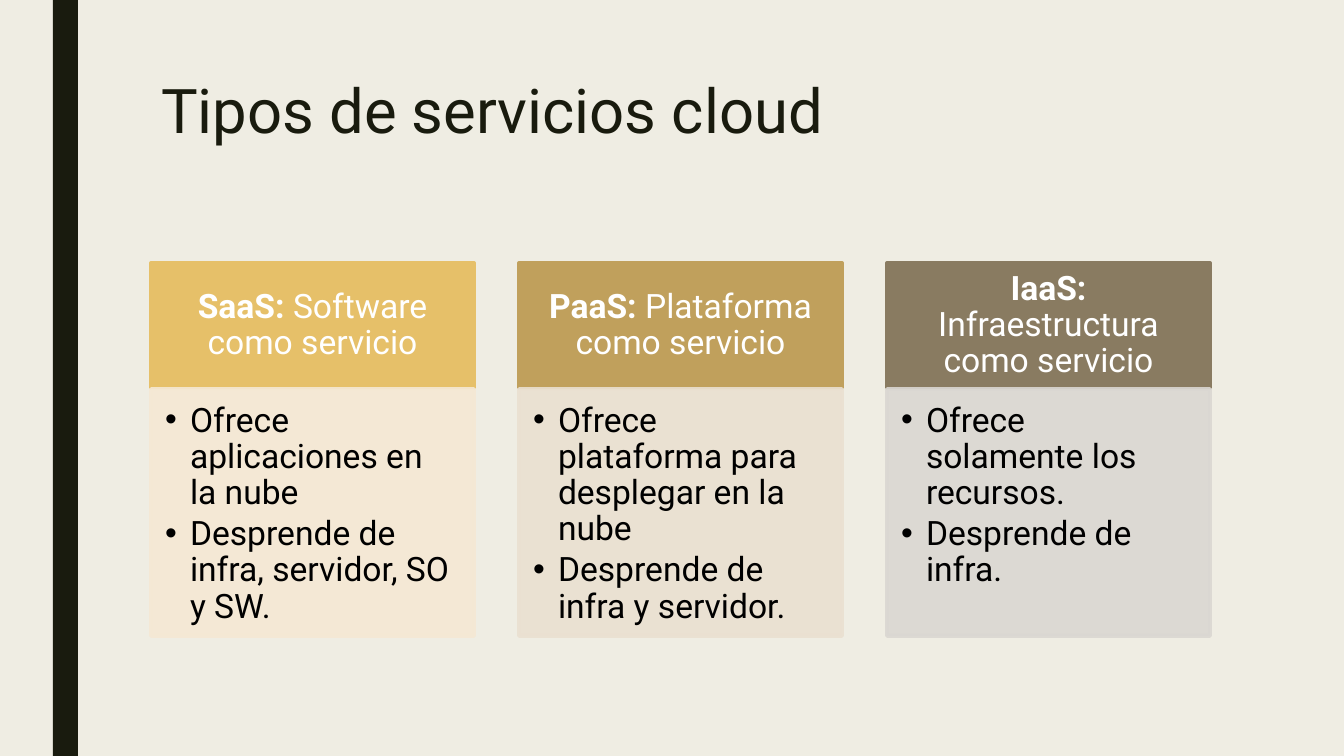
import lxml.etree
import pptx
import pptx.dml.color
import pptx.enum.shapes
import pptx.enum.text
import pptx.oxml.ns
import pptx.util

PIXEL = 914400 / 100.8
FONT = "Roboto"
DARK, WHITE, BLACK, CREAM = "191B0E", "FFFFFF", "000000", "EFEDE3"
ALIGN = pptx.enum.text.PP_ALIGN
ANCHOR = pptx.enum.text.MSO_ANCHOR

SERVICES = [
    ("SaaS: ", "Software como servicio", "E6C069", "F5E8D4",
     ["Ofrece aplicaciones en la nube", "Desprende de infra, servidor, SO y SW."]),
    ("PaaS: ", "Plataforma como servicio", "C0A05C", "EAE0D1",
     ["Ofrece plataforma para desplegar en la nube", "Desprende de infra y servidor."]),
    ("IaaS: ", "Infraestructura como servicio", "897B61", "DAD7D2",
     ["Ofrece solamente los recursos.", "Desprende de infra."]),
]


def px(length):
    """Turn pixels into EMU."""
    return pptx.util.Emu(round(length * PIXEL))


def color(value):
    """Turn a hex string into a colour."""
    return pptx.dml.color.RGBColor.from_string(value)


def apply(target, values):
    """Set each attribute in values on the target."""
    for name, value in values.items():
        setattr(target, name, value)


def format_frame(frame, anchor, insets):
    """Set wrapping, anchor and the left, top, right and bottom insets."""
    sides = ("margin_left", "margin_top", "margin_right", "margin_bottom")
    apply(frame, {"word_wrap": True, "vertical_anchor": anchor,
                  "auto_size": pptx.enum.text.MSO_AUTO_SIZE.NONE,
                  **dict(zip(sides, map(px, insets)))})


def add_run(paragraph, text, size, text_color, bold=False):
    """Add a formatted run to the paragraph."""
    run = paragraph.add_run()
    run.text = text
    apply(run.font, {"name": FONT, "size": pptx.util.Pt(size), "bold": bold})
    run.font.color.rgb = color(text_color)


def add_box(slide, box, fill, line_width=0, opacity=100):
    """Add a flat rectangle, with an outline of its own colour if wanted."""
    shape = slide.shapes.add_shape(
        pptx.enum.shapes.MSO_SHAPE.RECTANGLE, *map(px, box))
    shape.shadow.inherit = False
    shape.fill.solid()
    shape.fill.fore_color.rgb = color(fill)
    if line_width:
        shape.line.width = pptx.util.Pt(line_width)
        shape.line.color.rgb = color(fill)
    else:
        shape.line.fill.background()
    if opacity < 100:
        qualified = pptx.oxml.ns.qn
        for node in shape.element.spPr.iter(qualified("a:srgbClr")):
            lxml.etree.SubElement(node, qualified("a:alpha"), val=str(opacity * 1000))
    return shape


def add_bullet(paragraph, indent):
    """Give the paragraph a hanging round bullet."""
    properties = paragraph._p.get_or_add_pPr()
    properties.set("marL", str(px(indent)))
    properties.set("indent", str(-px(indent)))
    qualified = pptx.oxml.ns.qn
    lxml.etree.SubElement(properties, qualified("a:buFont"), typeface="Arial")
    lxml.etree.SubElement(properties, qualified("a:buChar"), char="•")


def place_title(slide, box, text):
    """Move and format the title placeholder."""
    title = slide.shapes.title
    apply(title, dict(zip(("left", "top", "width", "height"), map(px, box))))
    format_frame(title.text_frame, ANCHOR.TOP, (10, 5, 10, 5))
    paragraph = title.text_frame.paragraphs[0]
    apply(paragraph, {"alignment": ALIGN.LEFT, "line_spacing": 0.89})
    add_run(paragraph, text, 44, DARK)


def add_header(slide, box, acronym, meaning, fill):
    """Add the coloured heading of a service."""
    frame = add_box(slide, box, fill, 2.75).text_frame
    format_frame(frame, ANCHOR.MIDDLE, (19, 11, 19, 11))
    paragraph = frame.paragraphs[0]
    apply(paragraph, {"alignment": ALIGN.CENTER, "line_spacing": 0.9})
    add_run(paragraph, acronym, 24, WHITE, bold=True)
    add_run(paragraph, meaning, 24, WHITE)


def add_details(slide, box, points, fill):
    """Add the bulleted panel of a service."""
    frame = add_box(slide, box, fill, 2.75, opacity=90).text_frame
    format_frame(frame, ANCHOR.TOP, (14, 14, 19, 21))
    for index, point in enumerate(points):
        paragraph = frame.add_paragraph() if index else frame.paragraphs[0]
        apply(paragraph, {"alignment": ALIGN.LEFT, "line_spacing": 0.9,
                          "space_after": pptx.util.Pt(3.5)})
        add_bullet(paragraph, 25)
        add_run(paragraph, point, 24, BLACK)


def add_services(slide, box, gap=45, header_height=126):
    """Lay out the services as equal columns inside the box."""
    left, top, width, height = box
    column_width = (width - gap * (len(SERVICES) - 1)) // len(SERVICES)
    for index, (acronym, meaning, strong, pale, points) in enumerate(SERVICES):
        x = left + index * (column_width + gap)
        add_header(slide, (x, top, column_width, header_height - 1),
                   acronym, meaning, strong)
        add_details(slide, (x, top + header_height, column_width,
                            height - header_height), points, pale)


def build_slide(presentation, box):
    """Build the slide of cloud service types."""
    left, top, width, height = box
    slide = presentation.slides.add_slide(presentation.slide_layouts[5])
    slide.background.fill.solid()
    slide.background.fill.fore_color.rgb = color(CREAM)
    add_box(slide, (left + 53, top, 25, height), DARK)
    place_title(slide, (left + 151, top + 76, 1058, 163), "Tipos de servicios cloud")
    add_services(slide, (left + 151, top + 263, 1059, 373))


presentation = pptx.Presentation()
apply(presentation, {"slide_width": px(1344), "slide_height": px(756)})
build_slide(presentation, (0, 0, 1344, 756))
presentation.save("out.pptx")
